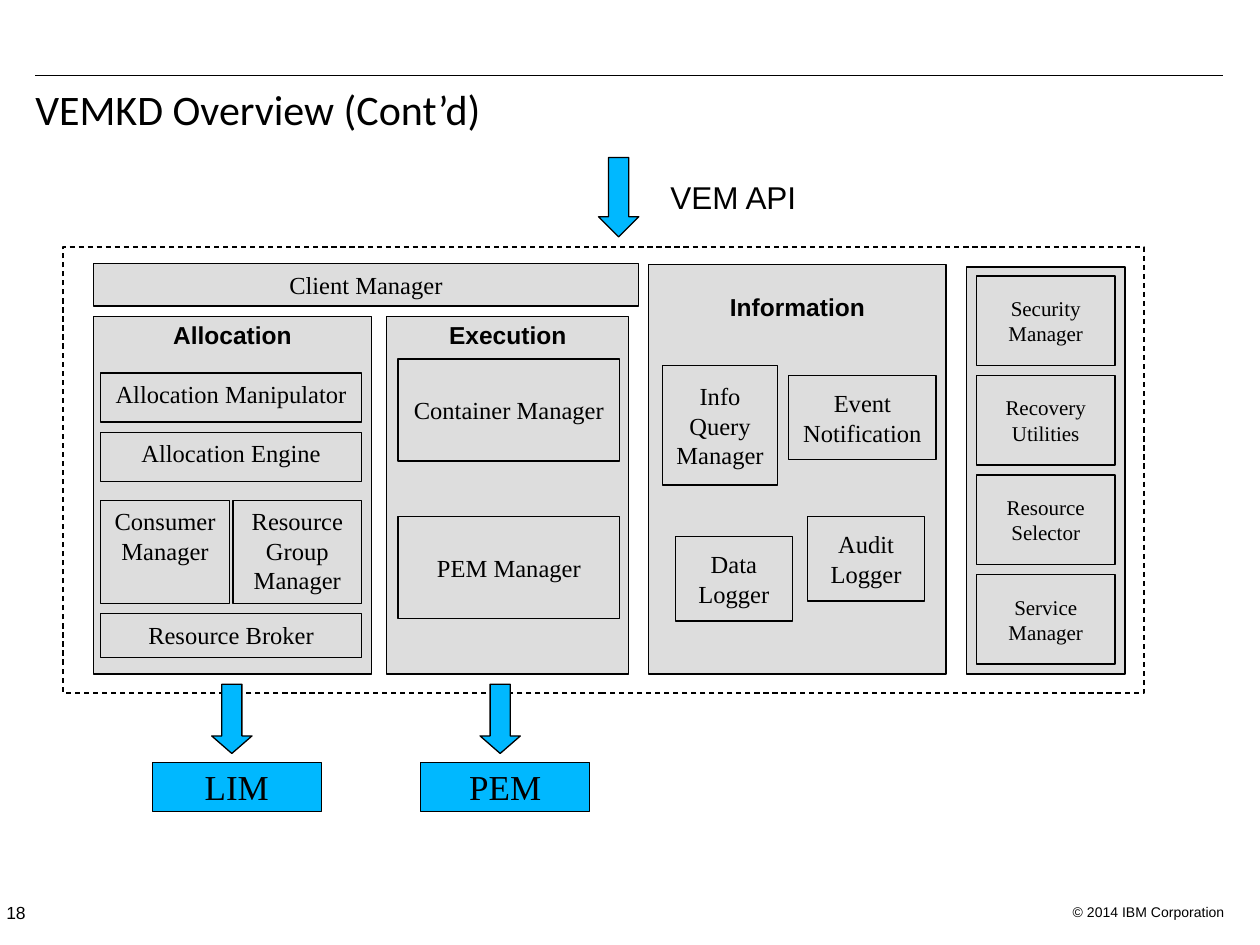
from pptx import Presentation
from pptx.dml.color import RGBColor
from pptx.enum.dml import MSO_LINE
from pptx.enum.shapes import MSO_CONNECTOR, MSO_SHAPE
from pptx.enum.text import MSO_ANCHOR as ANCHOR, MSO_AUTO_SIZE, PP_ALIGN as ALIGN
from pptx.oxml.ns import qn
from pptx.util import Pt
from lxml.etree import SubElement

PX = 9144  # EMU per px, 100 px to the inch
BLACK = RGBColor(0x00, 0x00, 0x00)
WHITE = RGBColor(0xFF, 0xFF, 0xFF)
GREY = RGBColor(0xDD, 0xDD, 0xDD)
BLUE = RGBColor(0x00, 0xB8, 0xFF)
SANS, SERIF, TITLE_FONT = "Arial", "Times New Roman", "Calibri"


def emu(*lengths):
    return [length * PX for length in lengths]


def write(shape, text, size=14, font=SERIF, bold=False, align=ALIGN.CENTER,
          anchor=ANCHOR.MIDDLE, insets=(10, 5, 10, 5), wrap=True, spacing=None):
    frame = shape.text_frame
    frame.text = text
    frame.auto_size = MSO_AUTO_SIZE.NONE
    frame.word_wrap = wrap
    frame.vertical_anchor = anchor
    (frame.margin_left, frame.margin_top,
     frame.margin_right, frame.margin_bottom) = emu(*insets)
    for para in frame.paragraphs:
        para.alignment = align
        para.line_spacing = spacing
        for span in para.runs:
            span.font.size = Pt(size)
            span.font.name = font
            span.font.bold = bold
            span.font.color.rgb = BLACK


def add_label(page, box, text, **style):
    write(page.shapes.add_textbox(*emu(*box)), text, **style)


def add_block(page, box, text="", fill=GREY, kind=MSO_SHAPE.RECTANGLE, **style):
    shape = page.shapes.add_shape(kind, *emu(*box))
    shape.shadow.inherit = False
    shape.fill.solid()
    shape.fill.fore_color.rgb = fill
    shape.line.color.rgb = BLACK
    shape.line.width = Pt(0.75)
    if text:
        write(shape, text, **style)
    return shape


def add_arrow(page, box, head):
    arrow = add_block(page, box, fill=BLUE, kind=MSO_SHAPE.DOWN_ARROW)
    arrow.adjustments[0] = 0.5
    arrow.adjustments[1] = head


def add_panel(page, box, parts, heading="", heading_top=-2, **style):
    """Panel with an optional heading; parts are placed from its top left corner."""
    left, top, width, _ = box
    add_block(page, box)
    for (x, y, w, h), text in parts:
        add_block(page, (left + x, top + y, w, h), text, **style)
    if heading:
        add_label(page, (left, top + heading_top, width, 34), heading,
                  font=SANS, bold=True, anchor=ANCHOR.TOP)


def add_allocation(page, box):
    wide, half = 207, 102
    add_panel(page, box, [
        ((6, 45, wide, 39), "Allocation Manipulator"),
        ((6, 92, wide, 39), "Allocation Engine"),
        ((6, 146, half, 82), "Consumer\nManager"),
        ((6 + wide - half, 146, half, 82), "Resource Group\nManager"),
        ((6, 236, wide, 35), "Resource Broker"),
    ], heading="Allocation", anchor=ANCHOR.TOP)


def add_execution(page, box):
    names = ["Container Manager", "PEM Manager"]
    parts = [((9, 34 + 125 * row, 176, 81), name) for row, name in enumerate(names)]
    add_panel(page, box, parts, heading="Execution")


def add_information(page, box):
    add_panel(page, box, [
        ((11, 80, 91, 95), "Info\nQuery\nManager"),
        ((111, 88, 117, 67), "Event\nNotification"),
        ((21, 216, 93, 67), "Data Logger"),
        ((126, 200, 93, 67), "Audit Logger"),
    ], heading="Information", heading_top=17)


def add_utilities(page, box):
    names = ["Security\nManager", "Recovery\nUtilities",
             "Resource\nSelector", "Service\nManager"]
    parts = [((8, 7 + 79 * row, 110, 71), name) for row, name in enumerate(names)]
    add_panel(page, box, parts, size=12)


def add_daemon(page, box, name):
    """Arrow leading down to a named blue block."""
    left, top, width, height = box
    add_arrow(page, (left + 47, top, 32, 55), head=0.435)
    add_block(page, (left, top + height - 39, width, 39), name, fill=BLUE, size=20)


def add_frame(page):
    """Rule, title, page number and copyright line."""
    rule = page.shapes.add_connector(MSO_CONNECTOR.STRAIGHT, *emu(28, 60, 971, 60))
    rule.line.color.rgb = BLACK
    rule.line.width = Pt(0.75)
    SubElement(rule.element.spPr, qn("a:effectLst"))

    title = page.shapes.title
    title.left, title.top, title.width, title.height = emu(28, 71, 972, 36)
    write(title, "VEMKD Overview (Cont’d)", size=24, font=TITLE_FONT,
          align=ALIGN.LEFT, anchor=ANCHOR.TOP, insets=(0, 0, 20, 0), spacing=0.9)

    small = dict(font=SANS, insets=(0, 0, 0, 0), wrap=False)
    add_label(page, (5, 716, 63, 17), "18", size=10, align=ALIGN.LEFT, **small)
    add_label(page, (851, 717, 121, 13), "© 2014 IBM Corporation",
              size=8, align=ALIGN.RIGHT, **small)


def main():
    deck = Presentation()
    deck.slide_width, deck.slide_height = emu(1000, 750)
    page = deck.slides.add_slide(deck.slide_layouts[5])
    add_frame(page)

    # Entry point and outer boundary
    add_arrow(page, (475, 125, 32, 63), head=0.498)
    add_label(page, (515, 141, 134, 30), "VEM API", size=18, font=SANS,
              anchor=ANCHOR.TOP, insets=(5, 0, 5, 0))
    boundary = add_block(page, (50, 196, 858, 354), fill=WHITE)
    boundary.line.dash_style = MSO_LINE.DASH

    # Components
    add_block(page, (74, 209, 433, 34), "Client Manager")
    add_allocation(page, (74, 251, 221, 284))
    add_execution(page, (307, 251, 192, 284))
    add_information(page, (515, 210, 236, 325))
    add_utilities(page, (767, 212, 126, 323))

    # Daemons below
    for left, name in [(121, "LIM"), (334, "PEM")]:
        add_daemon(page, (left, 543, 134, 101), name)

    deck.save("out.pptx")


if __name__ == "__main__":
    main()
